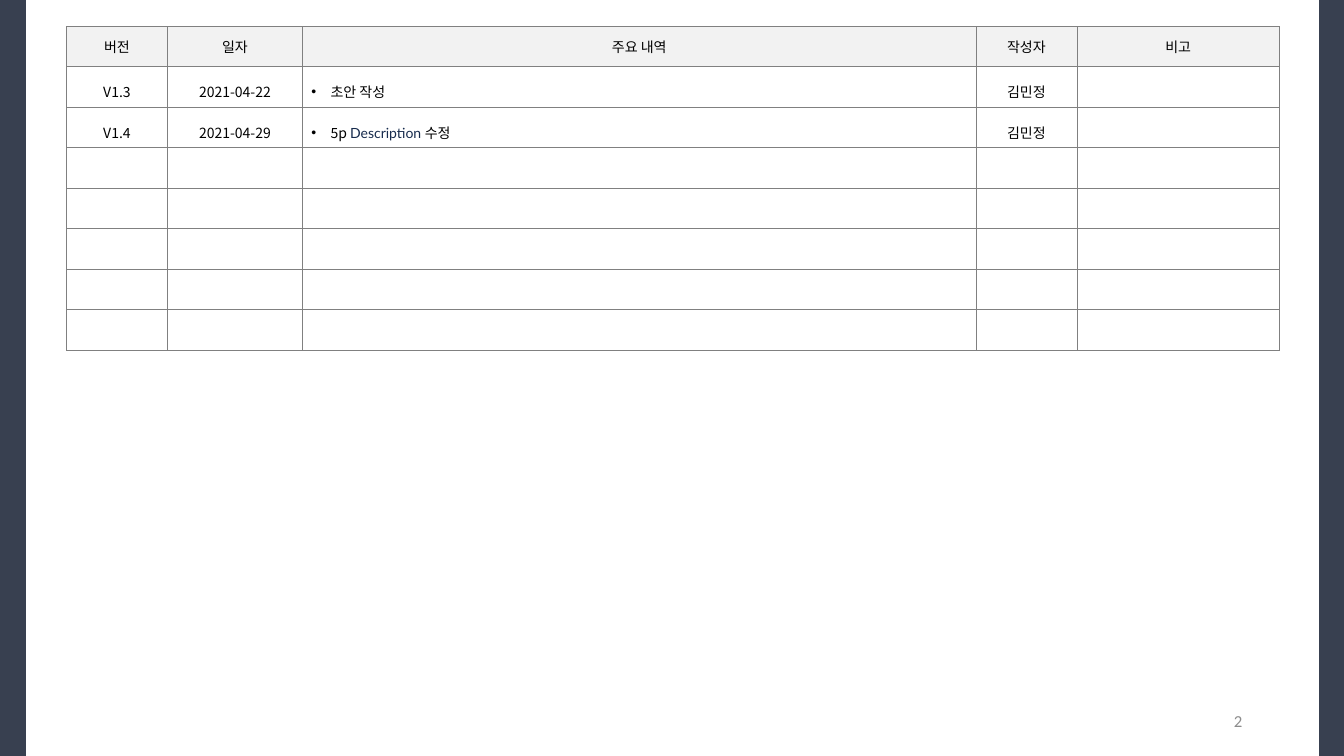
from dataclasses import dataclass

from lxml.etree import SubElement as Sub
from pptx import Presentation
from pptx.dml.color import RGBColor as Rgb
from pptx.enum.shapes import MSO_SHAPE as Shape
from pptx.enum.text import MSO_ANCHOR as Anchor, PP_ALIGN as Align
from pptx.oxml.ns import qn
from pptx.util import Inches, Pt

HUES = {"frame": "384050", "page": "FFFFFF", "head": "F2F2F2", "grid": "808080",
        "text": "000000", "term": "172B4D", "number": "8C8C8C"}
SANS = "Noto Sans CJK KR"


@dataclass
class Panel:
    left: float
    top: float
    width: float
    height: float
    hue: str


@dataclass
class Span:
    text: str
    font: str = SANS
    hue: str = "text"
    size: int = 10


@dataclass
class Entry:
    version: str
    date: str
    notes: list[Span]
    author: str


PANELS = [Panel(0, -0.87, 13.33, 9.23, "frame"),
          Panel(0.26, -0.57, 12.82, 8.76, "page")]
HEADS = ["버전", "일자", "주요 내역", "작성자", "비고"]
WIDTHS = [1, 1.34, 6.68, 1, 2.01]
ROWS = 8
NOTES = 2
ENTRIES = [
    Entry("V1.3", "2021-04-22", [Span("초안 작성")], "김민정"),
    Entry("V1.4", "2021-04-29",
          [Span("5p "), Span("Description ", "Lato", "term"), Span("수정")], "김민정"),
]


def color(hue: str) -> Rgb:
    return Rgb.from_string(HUES[hue])


def draw_panel(slide, panel: Panel) -> None:
    box = (panel.left, panel.top, panel.width, panel.height)
    shape = slide.shapes.add_shape(Shape.RECTANGLE, *map(Inches, box))
    shape.shadow.inherit = False
    shape.fill.solid()
    shape.fill.fore_color.rgb = color(panel.hue)
    shape.line.fill.background()


def add_spans(para, spans: list[Span]) -> None:
    for span in spans:
        run = para.add_run()
        run.text = span.text
        font = run.font
        font.name, font.size, font.bold = span.font, Pt(span.size), False
        font.color.rgb = color(span.hue)
        Sub(font._element, qn("a:ea"), typeface=span.font)


def add_bullet(para) -> None:
    props = para._p.get_or_add_pPr()
    props.set("marL", str(Inches(0.19)))
    props.set("indent", str(Inches(-0.19)))
    Sub(props, qn("a:buFont"), typeface="Arial")
    Sub(props, qn("a:buChar"), char="•")


def style_cell(cell, hue: str) -> None:
    props = cell._tc.get_or_add_tcPr()
    for side in ("lnL", "lnR", "lnT", "lnB"):
        line = Sub(props, qn(f"a:{side}"), w=str(Pt(0.25)))
        fill = Sub(line, qn("a:solidFill"))
        Sub(fill, qn("a:srgbClr"), val=HUES["grid"])
    cell.fill.solid()
    cell.fill.fore_color.rgb = color(hue)
    cell.vertical_anchor = Anchor.MIDDLE
    cell.margin_left = cell.margin_right = Inches(0.09)
    cell.margin_top = cell.margin_bottom = Inches(0.04)


def fill_cell(cell, spans: list[Span], head: bool, list_item: bool) -> None:
    style_cell(cell, "head" if head else "page")
    para = cell.text_frame.paragraphs[0]
    if not spans:
        Sub(para._p, qn("a:endParaRPr"), sz="1000")
        return
    if not head:
        para.line_spacing = 1.5
    if list_item:
        add_bullet(para)
    else:
        para.alignment = Align.CENTER
    add_spans(para, spans)


def draw_table(slide) -> None:
    box = (0.66, 0.26, sum(WIDTHS), 3.21)
    table = slide.shapes.add_table(ROWS, len(HEADS), *map(Inches, box)).table
    table.first_row = table.horz_banding = False
    for col, width in zip(table.columns, WIDTHS):
        col.width = Inches(width)
    rows = [[[Span(text)] for text in HEADS]]
    rows += [[[Span(item.version)], [Span(item.date)], item.notes,
              [Span(item.author)], []] for item in ENTRIES]
    rows += [[[] for _ in HEADS] for _ in range(ROWS - len(rows))]
    for r, row in enumerate(rows):
        for c, spans in enumerate(row):
            fill_cell(table.cell(r, c), spans, r == 0, r > 0 and c == NOTES)


def draw_number(slide) -> None:
    box = slide.shapes.add_textbox(*map(Inches, (9.42, 6.95, 3, 0.4)))
    frame = box.text_frame
    frame.word_wrap = True
    frame.vertical_anchor = Anchor.MIDDLE
    para = frame.paragraphs[0]
    para.alignment = Align.RIGHT
    add_spans(para, [Span("2", "Calibri", "number", 12)])


def main() -> None:
    """Build the version history slide."""
    deck = Presentation()
    deck.slide_width, deck.slide_height = Inches(13.33), Inches(7.5)
    slide = deck.slides.add_slide(deck.slide_layouts[6])
    for panel in PANELS:
        draw_panel(slide, panel)
    draw_table(slide)
    draw_number(slide)
    deck.save("out.pptx")


if __name__ == "__main__":
    main()
